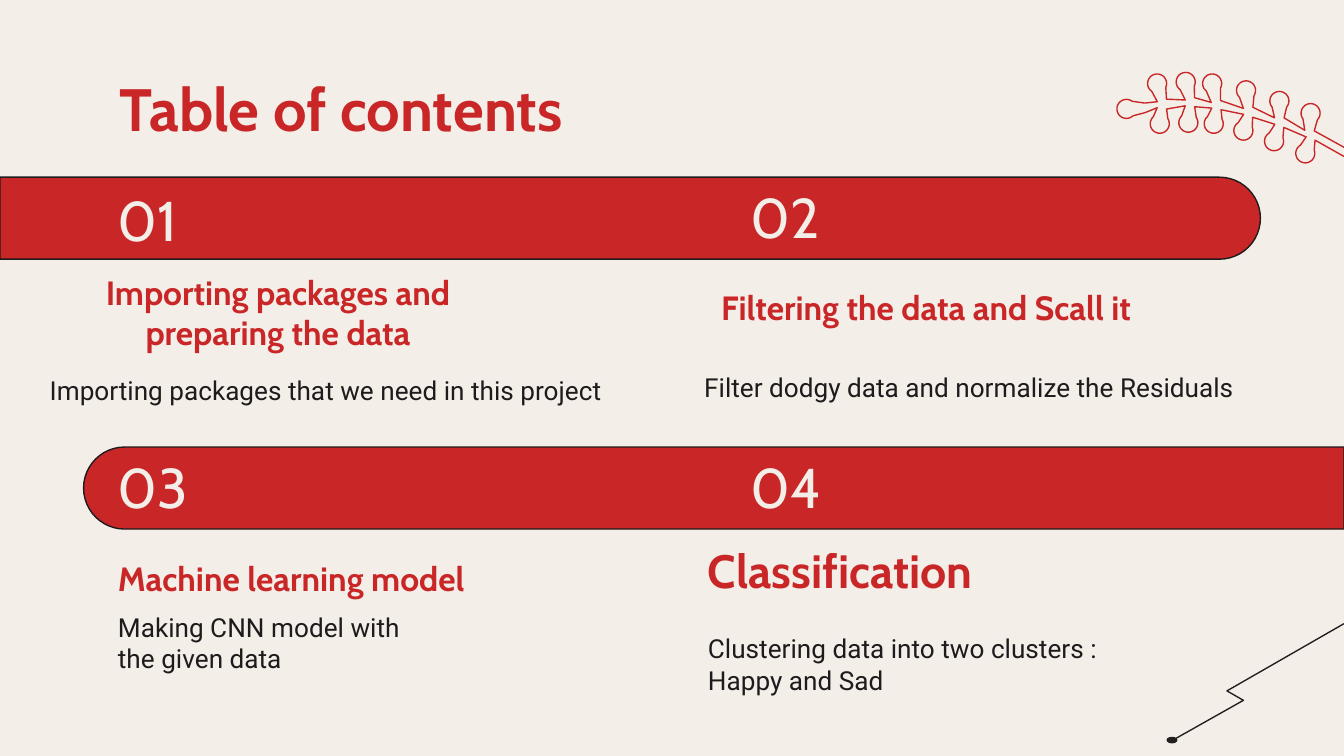
from math import atan2, cos, pi, sin

from pptx import Presentation
from pptx import util as u
from pptx.dml import color
from pptx.enum import shapes, text

CREAM, RED, INK, CHARCOAL = "F4EEE9", "C92727", "1E1B1C", "231F20"
LEFT, CENTER = text.PP_ALIGN.LEFT, text.PP_ALIGN.CENTER
TOP, MIDDLE, BOTTOM = text.MSO_ANCHOR.TOP, text.MSO_ANCHOR.MIDDLE, text.MSO_ANCHOR.BOTTOM

SECTIONS = [
    ((1.98, 3.56), "01",
     ("Importing packages and preparing the data", (-0.41, 0.35, 7.37, 2.75), 18, CENTER),
     ("Importing packages that we need in this project", (-1.29, 3.27, 11.68, 1.35))),
    ((13.94, 3.51), "02",
     ("Filtering the data and Scall it", (-1.16, 1.6, 9.45, 1.07), 18, CENTER),
     ("Filter dodgy data and normalize the Residuals", (-0.88, 3.27, 12.3, 1.35))),
    ((1.98, 8.61), "03",
     ("Machine learning model", (0, 1.63, 7.47, 1.07), 18, LEFT),
     ("Making CNN model with the given data", (0, 2.69, 6.5, 1.35))),
    ((13.94, 8.61), "04",
     ("Classification", (-0.81, 1.63, 6.5, 1.07), 25, LEFT),
     ("Clustering data into two clusters : Happy and Sad", (-0.81, 3.1, 7.98, 1.35))),
]

TIP_LEAF = (0.53, 0.69, 0.18, 0.71)
UPPER_LEAVES = [
    (0.85, 0.55, 0.76, 0.23), (1.38, 0.52, 1.3, 0.2), (1.87, 0.57, 1.8, 0.23),
    (2.48, 0.69, 2.44, 0.36), (3.07, 0.88, 3.07, 0.56), (3.64, 1.12, 3.66, 0.79),
]
LOWER_LEAVES = [
    (0.85, 0.7, 0.81, 0.99), (1.38, 0.66, 1.35, 0.97), (1.88, 0.71, 1.83, 0.99),
    (2.48, 0.84, 2.39, 1.12), (3.07, 1.03, 2.97, 1.32), (3.66, 1.27, 3.56, 1.55),
]
STEM_END = [(4.5, 1.55), (4.42, 1.68)]


def rgb(value):
    return color.RGBColor.from_string(value)


def style(shape, fill, line):
    shape.shadow.inherit = False
    if fill:
        shape.fill.solid()
        shape.fill.fore_color.rgb = rgb(fill)
    else:
        shape.fill.background()
    shape.line.color.rgb = rgb(line)
    shape.line.width = u.Pt(0.75)


def add_text(slide, box, content, size, font, ink, bold=False,
             align=LEFT, anchor=BOTTOM, inset=0):
    frame = slide.shapes.add_textbox(*map(u.Cm, box)).text_frame
    frame.word_wrap = True
    frame.vertical_anchor = anchor
    frame.margin_left = frame.margin_right = u.Cm(0.25)
    frame.margin_top = frame.margin_bottom = u.Cm(inset)
    frame.text = content
    paragraph = frame.paragraphs[0]
    paragraph.alignment = align
    run_font = paragraph.runs[0].font
    run_font.name, run_font.size, run_font.bold = font, u.Pt(size), bold
    run_font.color.rgb = rgb(ink)


def add_outline(slide, box, points, fill, line, close):
    left, top = box
    placed = [(u.Cm(left + x), u.Cm(top + y)) for x, y in points]
    builder = slide.shapes.build_freeform(*placed[0])
    builder.add_line_segments(placed[1:], close=close)
    style(builder.convert_to_shape(), fill, line)


def leaf_points(base_x, base_y, head_x, head_y, radius=0.18, neck=0.09, steps=24):
    angle = atan2(base_y - head_y, base_x - head_x)
    side_x, side_y = -sin(angle) * neck, cos(angle) * neck
    start, sweep = angle + pi / 3.6, 2 * pi - pi / 1.8
    turns = [start + sweep * step / steps for step in range(steps + 1)]
    head = [(head_x + radius * cos(turn), head_y + radius * sin(turn)) for turn in turns]
    return [(base_x + side_x, base_y + side_y), *head, (base_x - side_x, base_y - side_y)]


def add_branch(slide, box):
    points = leaf_points(*TIP_LEAF)
    for leaf in UPPER_LEAVES:
        points += leaf_points(*leaf)
    points += STEM_END
    for leaf in reversed(LOWER_LEAVES):
        points += leaf_points(*leaf)
    add_outline(slide, box, points, CREAM, RED, True)


def add_zigzag(slide, box):
    left, top = box
    points = [(3.25, 0), (1.04, 1.27), (1.35, 1.45), (0, 2.21)]
    add_outline(slide, box, points, None, CHARCOAL, False)
    dot = slide.shapes.add_shape(
        shapes.MSO_SHAPE.OVAL, *map(u.Cm, (left - 0.09, top + 2.15, 0.18, 0.1)))
    style(dot, CHARCOAL, CHARCOAL)


def add_bar(slide, box, rotation):
    left, top, width, height = box
    shift = (width - height) / 2
    bar = slide.shapes.add_shape(
        shapes.MSO_SHAPE.ROUND_2_SAME_RECTANGLE,
        *map(u.Cm, (left + shift, top - shift, height, width)))
    bar.rotation = rotation
    bar.adjustments[0] = 0.5
    bar.adjustments[1] = 0
    style(bar, RED, INK)


def add_section(slide, origin, number, heading, body):
    def place(box):
        return origin[0] + box[0], origin[1] + box[1], box[2], box[3]

    add_text(slide, place((0, 0, 3.53, 1.22)), number, 30, "Cabin", CREAM)
    content, box, size, align = heading
    add_text(slide, place(box), content, size, "Cabin", RED, True, align)
    content, box = body
    add_text(slide, place(box), content, 14, "Roboto", INK, anchor=TOP, inset=0.25)


def add_contents_slide(presentation):
    slide = presentation.slides.add_slide(presentation.slide_layouts[6])
    slide.background.fill.solid()
    slide.background.fill.fore_color.rgb = rgb(CREAM)
    add_branch(slide, (21.11, 1.35))
    add_zigzag(slide, (22.15, 11.79))
    add_bar(slide, (0, 3.35, 23.82, 1.55), 90)
    add_bar(slide, (1.58, 8.45, 23.82, 1.55), 270)
    add_text(slide, (2.01, 1.24, 21.41, 1.6), "Table of contents", 32, "Cabin", RED,
             True, anchor=MIDDLE, inset=0.25)
    for section in SECTIONS:
        add_section(slide, *section)


def main():
    presentation = Presentation()
    presentation.slide_width, presentation.slide_height = u.Cm(25.4), u.Cm(14.29)
    add_contents_slide(presentation)
    presentation.save("out.pptx")


if __name__ == "__main__":
    main()
